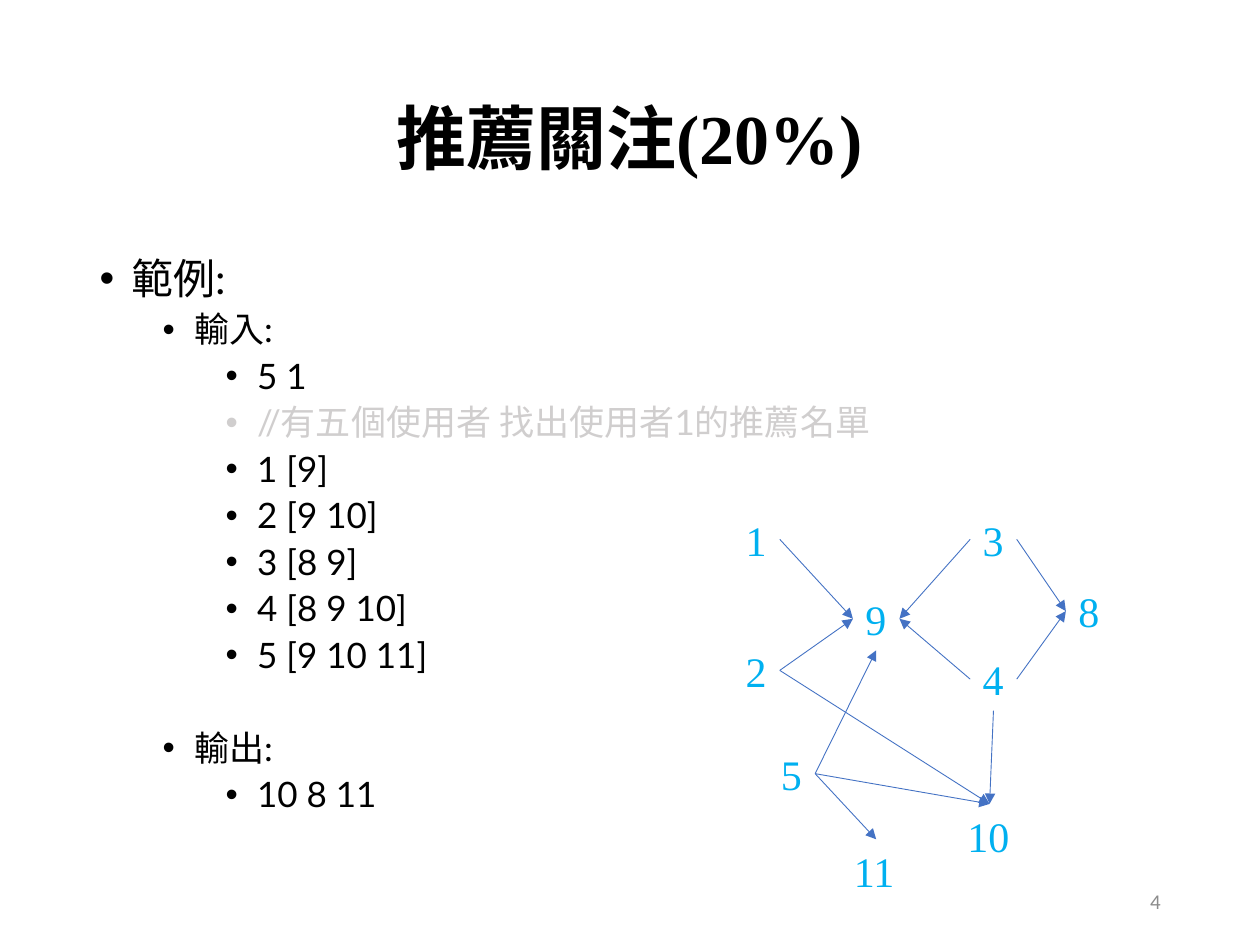
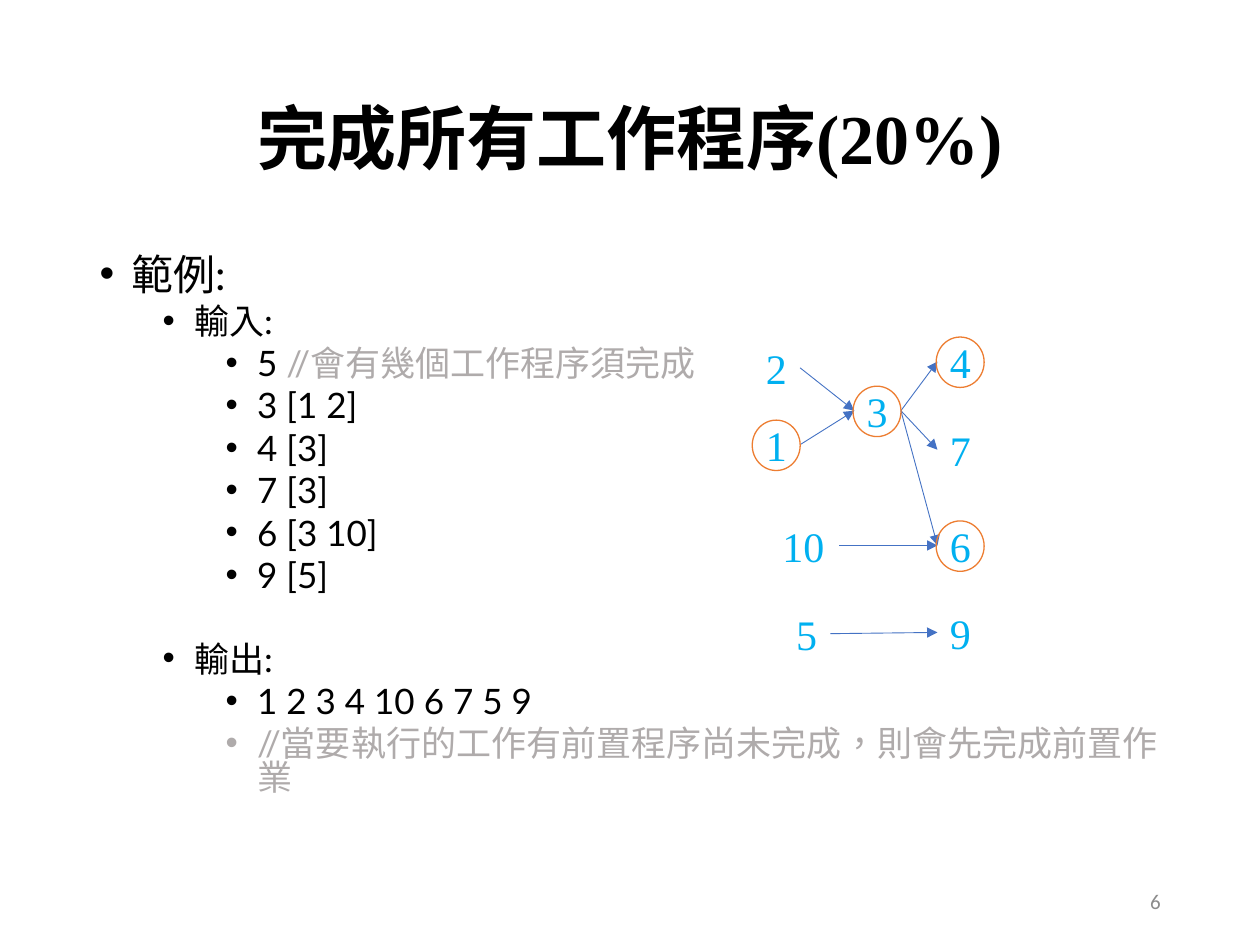
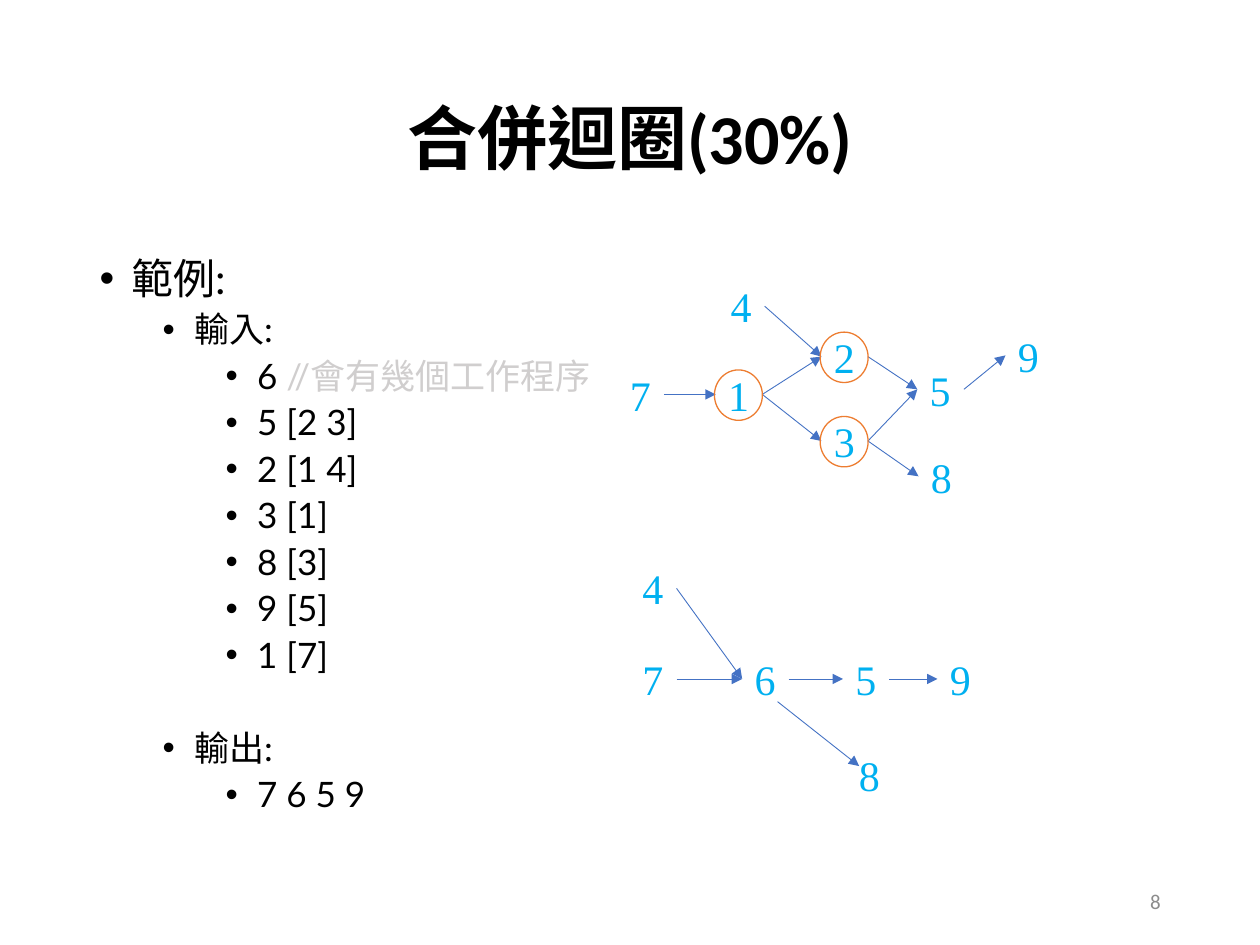
from lxml.etree import SubElement
from pptx import Presentation
from pptx.dml.color import RGBColor
from pptx.enum.lang import MSO_LANGUAGE_ID as LANG
from pptx.enum.shapes import MSO_CONNECTOR as CONNECTOR, MSO_SHAPE as SHAPE
from pptx.enum.text import MSO_ANCHOR as ANCHOR, MSO_AUTO_SIZE as AUTO, PP_ALIGN as ALIGN
from pptx.oxml.ns import qn
from pptx.util import Pt

# Shared look
LATO, TIMES, CALIBRI = "Lato", "Times New Roman", "Calibri"
BLACK, NODE, ARROW, RING, NUMBER = "000000", "00B0F0", "4472C4", "ED7D31", "8C8C8C"
LIGHT_GREY, MID_GREY = "D0CECE", "AFABAB"
TITLE_BOX = (49.7, 28.8, 620.6, 104.4)
BODY_BOX = (49.7, 144, 620.6, 342.7)
NUMBER_BOX = (508.3, 500.4, 162, 28.8)

# Outline levels: text size, left margin, space before
LEVELS = [(24, 18, 10), (20, 54, 5), (20, 90, 5)]
HANGING = 18

# Graph nodes: box size by number of digits, and where arrows meet it
NODE_W, NODE_H = {1: 26.6, 2: 39.6}, 36
RING_X, RING_Y, RING_W, RING_H = -0.75, 4, 27.4, 28.8
SIDES = {"l": (0, 0.5), "r": (1, 0.5), "t": (0.5, 0), "b": (0.5, 1),
         "inner br": (0.76, 0.86), "inner tl": (0.27, 0.36)}


def rgb(value):
    return RGBColor.from_string(value)


def set_all(obj, **values):
    for name, value in values.items():
        setattr(obj, name, value)


def place(sp, box):
    for name, value in zip(("left", "top", "width", "height"), box):
        setattr(sp, name, Pt(value))


def add_run(p, text, size, font=LATO, color=BLACK, bold=False):
    r = p.add_run()
    r.text = text
    set_all(r.font, name=font, size=Pt(size), bold=bold,
            language_id=LANG.TRADITIONAL_CHINESE)
    r.font.color.rgb = rgb(color)


def add_text(s, box, text, size, font, color, **frame):
    tf = s.shapes.add_textbox(*map(Pt, box)).text_frame
    set_all(tf, **frame)
    p = tf.paragraphs[0]
    add_run(p, text, size, font, color)
    return p


# Title and slide number
def add_title(s, box, name, share, share_font):
    sp = s.shapes.title
    place(sp, box)
    tf = sp.text_frame
    set_all(tf, vertical_anchor=ANCHOR.MIDDLE, auto_size=AUTO.NONE)
    p = tf.paragraphs[0]
    set_all(p, alignment=ALIGN.CENTER, line_spacing=0.9)
    add_run(p, name, 40, bold=True)
    add_run(p, share, 40, share_font, bold=True)


def add_number(s, box, number):
    p = add_text(s, box, number, 12, CALIBRI, NUMBER,
                 word_wrap=True, vertical_anchor=ANCHOR.MIDDLE)
    p.alignment = ALIGN.RIGHT


# Bulleted example: everything from "//" on is a grey comment
def add_bullet(p, level, spacing, gap):
    size, margin, before = LEVELS[level]
    set_all(p, level=level, line_spacing=spacing, space_before=Pt(before + gap))
    pPr = p._p.get_or_add_pPr()
    pPr.set("marL", str(Pt(margin)))
    pPr.set("indent", str(-Pt(HANGING)))
    SubElement(pPr, qn("a:buFont")).set("typeface", "Arial")
    SubElement(pPr, qn("a:buChar")).set("char", "•")
    return size


def add_example(s, box, inputs, outputs, spacing, grey):
    sp = s.placeholders[1]
    place(sp, box)
    tf = sp.text_frame
    set_all(tf, auto_size=AUTO.NONE, word_wrap=True)
    output_gap = 29.5 * spacing
    lines = [(0, ["範例:"], 0), (1, ["輸入:"], 0), *((2, runs, 0) for runs in inputs),
             (1, ["輸出:"], output_gap), *((2, runs, 0) for runs in outputs)]
    for i, (level, runs, gap) in enumerate(lines):
        p = tf.add_paragraph() if i else tf.paragraphs[0]
        size = add_bullet(p, level, spacing, gap)
        color = BLACK
        for run in runs:
            text, font = run if isinstance(run, tuple) else (run, LATO)
            if text.startswith("//"):
                color = grey
            add_run(p, text, size, font, color)


# Directed graph: nodes are placed from the top left of the graph
def add_arrow(s, start, end):
    c = s.shapes.add_connector(CONNECTOR.STRAIGHT, *map(Pt, start + end))
    c.line.color.rgb = rgb(ARROW)
    c.line.width = Pt(0.5)
    spPr = c._element.spPr
    SubElement(spPr.find(qn("a:ln")), qn("a:tailEnd")).set("type", "triangle")
    SubElement(spPr, qn("a:effectLst"))


def add_ring(s, x, y):
    sp = s.shapes.add_shape(SHAPE.OVAL, *map(Pt, (x + RING_X, y + RING_Y, RING_W, RING_H)))
    sp.shadow.inherit = False
    sp.fill.background()
    sp.line.color.rgb = rgb(RING)
    sp.line.width = Pt(0.75)


def add_graph(s, origin, nodes, edges, ringed=()):
    spots = {n: (origin[0] + x, origin[1] + y) for n, (x, y) in nodes.items()}

    def meet(n, side):
        (x, y), (fx, fy) = spots[n], SIDES[side]
        return x + fx * NODE_W[len(str(n))], y + fy * NODE_H

    for n, spot in spots.items():
        add_text(s, (*spot, NODE_W[len(str(n))], NODE_H), str(n), 24, TIMES, NODE,
                 word_wrap=False)
    for a, b, *sides in edges:
        leave, arrive = sides or ("r", "l")
        add_arrow(s, meet(a, leave), meet(b, arrive))
    for n in ringed:
        add_ring(s, *spots[n])


def add_slide(prs, number, title, example, graphs):
    s = prs.slides.add_slide(prs.slide_layouts[1])
    add_title(s, TITLE_BOX, *title)
    add_example(s, BODY_BOX, **example)
    add_number(s, NUMBER_BOX, number)
    for graph in graphs:
        add_graph(s, **graph)


# Content
FOLLOW = dict(
    number="4",
    title=("推薦關注", "(20%)", TIMES),
    example=dict(
        inputs=[["5 1"], ["//有五個使用者 找出使用者1的推薦名單"], ["1 [9]"], ["2 [9 10]"],
                ["3 [8 9]"], ["4 [8 9 10]"], ["5 [9 10 11]"]],
        outputs=[["10 8 11"]], spacing=0.9, grey=LIGHT_GREY),
    graphs=[dict(
        origin=(419, 290.2),
        nodes={9: (68.4, 45.4), 2: (0, 74.9), 1: (0, 0), 3: (135.4, 0), 4: (135.4, 79.9),
               8: (190.1, 41), 5: (20.2, 133.9), 10: (126.7, 169.2), 11: (61.9, 189.4)},
        edges=[(2, 9), (1, 9), (3, 9, "l", "r"), (4, 9, "l", "r"), (3, 8), (4, 8),
               (2, 10, "r", "t"), (4, 10, "b", "t"), (5, 10, "r", "t"),
               (5, 11, "r", "t"), (5, 9, "r", "b")])])

TASKS = dict(
    number="6",
    title=("完成所有工作程序", "(20%)", TIMES),
    example=dict(
        inputs=[["5 ", "//會有幾個工作程序須完成"], ["3 [1 2]"], ["4 [3]"], ["7 [3]"],
                ["6 [3 10]"], ["9 [5]"]],
        outputs=[["1 2 3 4 10 6 7 5 9"],
                 ["//當要執行的工作有前置程序尚未完成", ("，則會先完成前置作業", TIMES)]],
        spacing=0.8, grey=MID_GREY),
    graphs=[dict(
        origin=(430.6, 188.6),
        nodes={3: (57.6, 28.1), 2: (0, 3.6), 1: (0, 47.5), 4: (105.1, 0), 7: (105.1, 50.4),
               10: (9.4, 105.1), 6: (105.1, 105.1), 5: (17.3, 155.5), 9: (105.1, 154.8)},
        edges=[(2, 3), (1, 3), (3, 4), (3, 7), (10, 6), (3, 6), (5, 9)],
        ringed=(1, 3, 4, 6))])

LOOPS = dict(
    number="8",
    title=("合併迴圈", "(30%)", CALIBRI),
    example=dict(
        inputs=[["6 ", "//會有幾個工作程序"], ["5 [2 3]"], ["2 [1 4]"], ["3 [1]"], ["8 [3]"],
                ["9 [5]"], ["1 [7]"]],
        outputs=[["7 6 5 9"]], spacing=0.9, grey=LIGHT_GREY),
    graphs=[
        dict(origin=(352.8, 157),
             nodes={5: (171.4, 47.5), 2: (116.6, 28.8), 3: (116.6, 77), 8: (172.1, 97.2),
                    9: (221.8, 28.1), 1: (56.2, 50.4), 4: (57.6, 0), 7: (0, 50.4)},
             edges=[(2, 5), (3, 5), (1, 2), (1, 3), (4, 2), (3, 8), (5, 9), (7, 1)],
             ringed=(1, 2, 3)),
        dict(origin=(360, 318.2),
             nodes={7: (0, 51.8), 6: (64.1, 51.8), 4: (0, 0), 5: (121.7, 51.8),
                    8: (123.8, 106.6), 9: (175.7, 51.8)},
             edges=[(4, 6), (7, 6), (6, 5), (5, 9), (6, 8, "inner br", "inner tl")])])


def main():
    prs = Presentation()
    set_all(prs, slide_width=Pt(720), slide_height=Pt(540))
    for content in (FOLLOW, TASKS, LOOPS):
        add_slide(prs, **content)
    prs.save("out.pptx")


if __name__ == "__main__":
    main()
